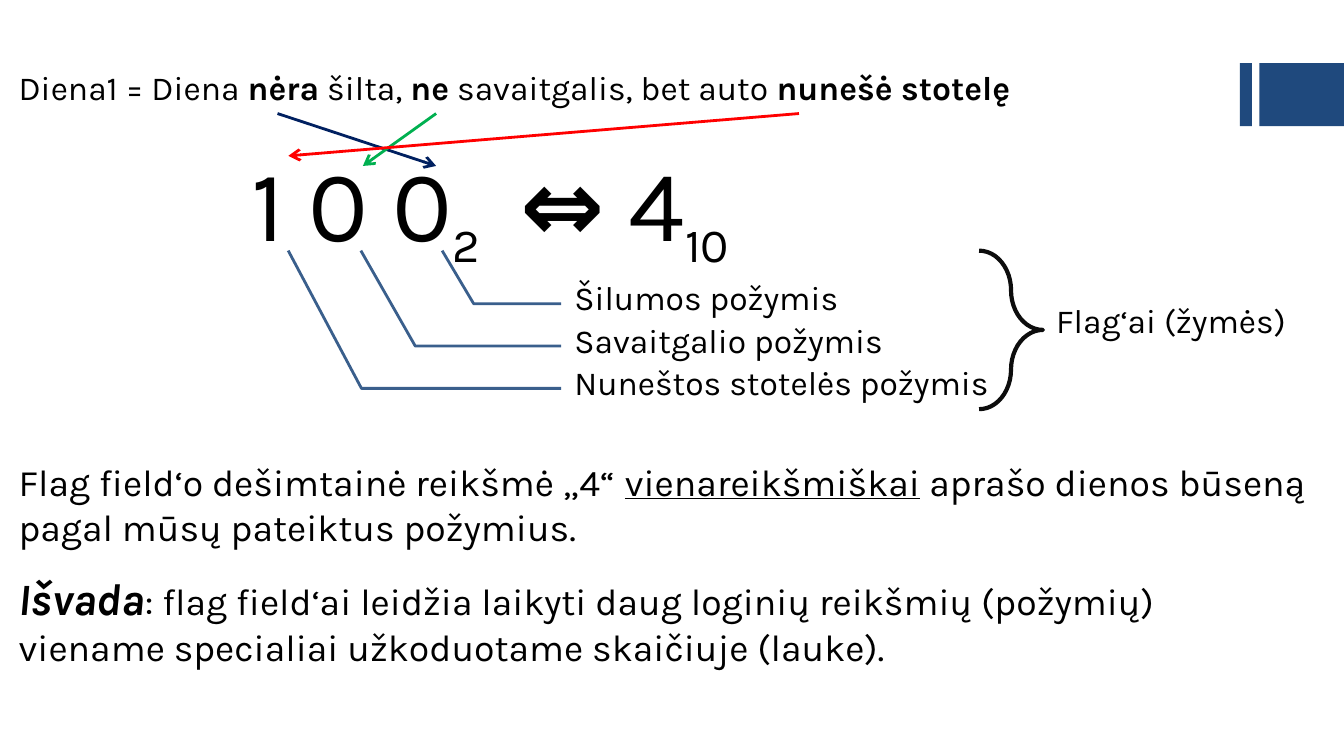
from typing import NamedTuple

from lxml.etree import SubElement
from pptx import Presentation
from pptx.dml.color import RGBColor
from pptx.enum.shapes import MSO_CONNECTOR, MSO_SHAPE
from pptx.oxml.ns import qn
from pptx.util import Emu, Pt

PX = 4572  # EMU per px, 200 px to the inch
FONT = "Karla"
BLACK, NAVY, STEEL = "000000", "1F497D", "3A5F8C"


class Run(NamedTuple):
    text: str
    size: int
    bold: bool = False
    italic: bool = False
    underline: bool = False
    subscript: bool = False


class Flag(NamedTuple):
    label: str
    width: int
    top: int
    digit: tuple[int, int]
    elbow: tuple[int, int]


class Arrow(NamedTuple):
    start: tuple[int, int]
    end: tuple[int, int]
    color: str


def px(n: int) -> Emu:
    return Emu(n * PX)


def rgb(color: str) -> RGBColor:
    return RGBColor.from_string(color)


def add_text(s, x: int, y: int, w: int, h: int, paragraphs: list[list[Run]],
             *, color: str = BLACK, space_after: int = 0) -> None:
    tf = s.shapes.add_textbox(px(x), px(y), px(w), px(h)).text_frame
    tf.word_wrap = True
    for i, runs in enumerate(paragraphs):
        p = tf.paragraphs[0] if i == 0 else tf.add_paragraph()
        p.space_after = Pt(space_after)
        for run in runs:
            r = p.add_run()
            r.text = run.text
            r.font.name, r.font.size = FONT, Pt(run.size)
            r.font.bold, r.font.italic = run.bold, run.italic
            r.font.underline = run.underline
            r.font.color.rgb = rgb(color)
            if run.subscript:
                r.font._element.set("baseline", "-25000")


def add_bar(s, x: int, y: int, w: int, h: int) -> None:
    sp = s.shapes.add_shape(MSO_SHAPE.RECTANGLE, px(x), px(y), px(w), px(h))
    sp.shadow.inherit = False
    sp.fill.solid()
    sp.fill.fore_color.rgb = rgb(NAVY)
    sp.line.fill.background()


def outline(sp, color: str, width: float) -> None:
    sp.shadow.inherit = False
    sp.fill.background()
    sp.line.color.rgb = rgb(color)
    sp.line.width = Pt(width)


def add_flag(s, flag: Flag) -> None:
    builder = s.shapes.build_freeform(*flag.digit, scale=PX)
    builder.add_line_segments([flag.elbow, (LABEL_X, flag.elbow[1])], close=False)
    outline(builder.convert_to_shape(), STEEL, 1.5)
    add_text(s, LABEL_X, flag.top, flag.width, 80, [[Run(flag.label, 18)]])


def add_arrow(s, arrow: Arrow) -> None:
    ends = [px(n) for n in (*arrow.start, *arrow.end)]
    cx = s.shapes.add_connector(MSO_CONNECTOR.STRAIGHT, *ends)
    cx.line.color.rgb = rgb(arrow.color)
    cx.line.width = Pt(1.5)
    SubElement(cx.line._get_or_add_ln(), qn("a:tailEnd"), type="arrow")
    SubElement(cx._element.spPr, qn("a:effectLst"))


LABEL_X = 835
FLAGS = [
    Flag("Šilumos požymis", 440, 402, (658, 373), (705, 452)),
    Flag("Savaitgalio požymis", 520, 466, (537, 373), (618, 515)),
    Flag("Nuneštos stotelės požymis", 672, 529, (429, 373), (538, 578)),
]
ARROWS = [
    Arrow((413, 169), (649, 247), "002060"),
    Arrow((649, 169), (540, 247), "00B050"),
    Arrow((1189, 169), (429, 232), "FF0000"),
]
FORMULA = [
    Run("1 0 0", 54), Run("2", 44, subscript=True), Run("\t", 54),
    Run("⇔", 54, bold=True), Run(" 4", 54), Run("10", 44, subscript=True),
    Run(" ", 54),
]
DAY = [
    Run("Diena1 = Diena ", 18), Run("nėra", 18, bold=True),
    Run(" šilta, ", 18), Run("ne", 18, bold=True),
    Run(" savaitgalis, bet auto ", 18), Run("nunešė stotelę", 18, bold=True),
]
MEANING = [
    Run("Flag field‘o dešimtainė reikšmė „4“ ", 20),
    Run("vienareikšmiškai", 20, underline=True),
    Run(" aprašo dienos būseną pagal mūsų pateiktus požymius.", 20),
]
CONCLUSION = [
    Run("Išvada", 24, bold=True, italic=True),
    Run(": flag field‘ai leidžia laikyti daug loginių reikšmių (požymių) "
        "viename specialiai užkoduotame skaičiuje (lauke).", 20),
]


def main() -> None:
    prs = Presentation()
    prs.slide_width, prs.slide_height = px(2000), px(1125)
    s = prs.slides.add_slide(prs.slide_layouts[6])

    # Corner bars
    add_bar(s, 1845, 94, 18, 94)
    add_bar(s, 1874, 94, 126, 94)

    # Binary number and the flag behind each digit
    add_text(s, 355, 200, 1118, 202, [FORMULA])
    for flag in FLAGS:
        add_flag(s, flag)

    # Brace that groups the flags
    brace = s.shapes.add_shape(MSO_SHAPE.RIGHT_BRACE, px(1457), px(373), px(95), px(236))
    brace.adjustments[0] = 0.7
    brace.adjustments[1] = 0.5
    outline(brace, "0D0D0D", 2.25)
    add_text(s, 1552, 437, 472, 80, [[Run("Flag‘ai (žymės)", 18)]])

    # Day statement, with arrows to its digits
    add_text(s, 8, 90, 1954, 158, [DAY], space_after=6)
    for arrow in ARROWS:
        add_arrow(s, arrow)

    # Explanation
    add_text(s, 8, 673, 1958, 336, [MEANING, CONCLUSION], space_after=12)

    prs.save("out.pptx")


if __name__ == "__main__":
    main()
